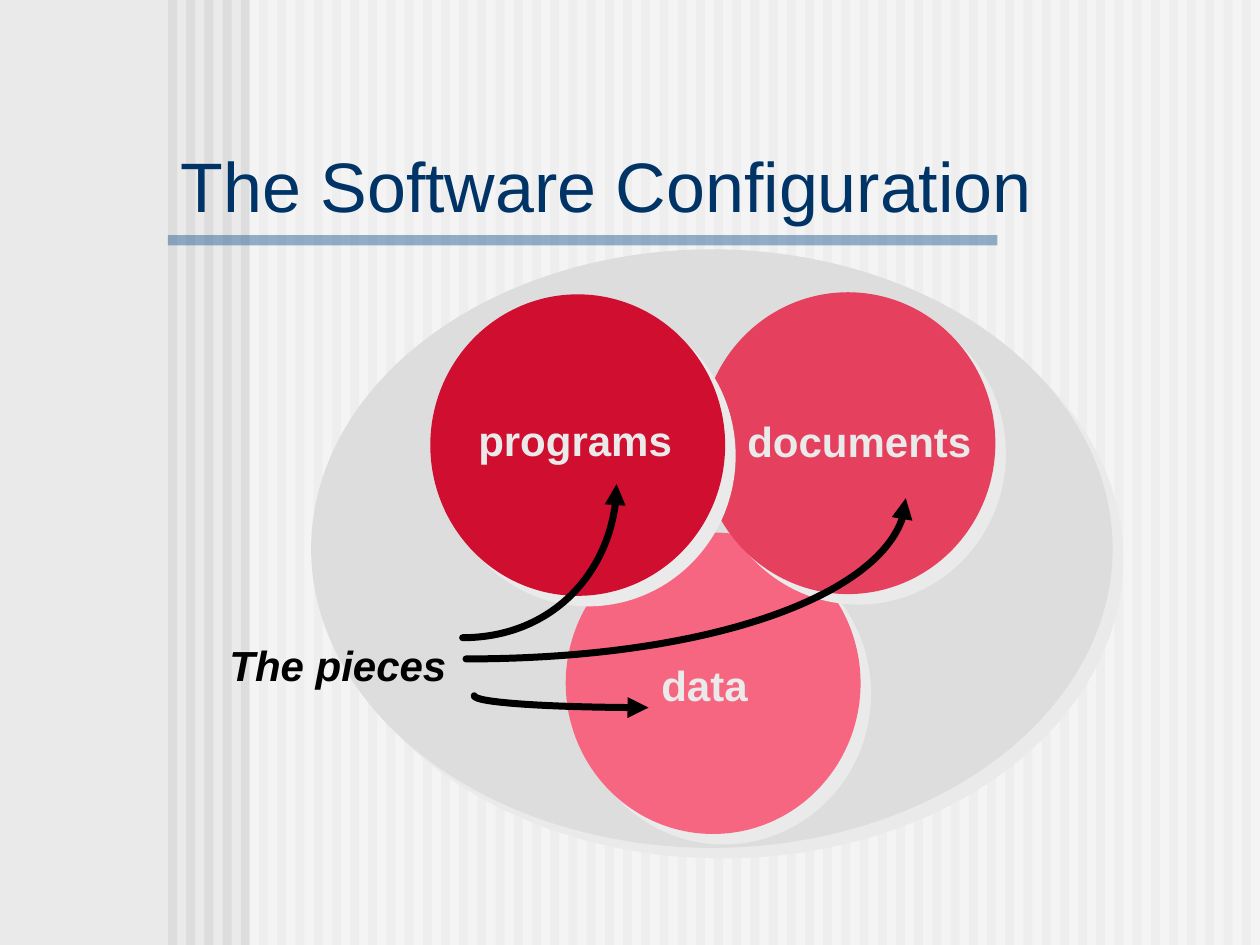
from lxml.etree import SubElement
from pptx import Presentation
from pptx.dml.color import RGBColor
from pptx.enum.shapes import MSO_SHAPE
from pptx.enum.text import MSO_ANCHOR, MSO_AUTO_SIZE, PP_ALIGN
from pptx.oxml.ns import qn
from pptx.util import Pt

COLORS = {
    "back": "EAEAEA", "grey": "DDDDDD", "white": "FFFFFF", "rule": "336699",
    "title": "003366", "pink": "F76681", "rose": "E5405D", "red": "CF0E30",
    "black": "000000",
}
TITLE = "The Software Configuration"
ELLIPSES = [
    ("grey", 177.8, 142.5, 458, 342),
    ("pink", 323.3, 304.3, 168.5, 172.3),
    ("rose", 400.3, 167, 168.5, 172.5),
    ("red", 245.9, 168.2, 168.5, 172.3),
]
LABELS = [
    ("programs", 266.2, 233.6, 126, "back", False),
    ("documents", 420, 234, 143.5, "back", False),
    ("data", 370.8, 373.2, 65, "back", False),
    ("The pieces", 124, 362, 140, "black", True),
]
LABEL_HEIGHT = 36
ARROWS = [
    ((370.6, 404.4), (271, 404.4), (271, 397.6)),
    ((517.6, 284.7), (517.6, 376.5), (266.3, 376.5)),
    ((352.4, 276.6), (352.4, 364.4), (264.4, 364.4)),
]
STRIPES, FIRST, PITCH, STRIPE_WIDTH = 60, 96, 10.4, 5.2
ARC_RATIO = 0.55


def rgb(name):
    return RGBColor.from_string(COLORS[name])


def add_filled(kind, color, x, y, w, h, alpha=None):
    sp = s.shapes.add_shape(kind, Pt(x), Pt(y), Pt(w), Pt(h))
    sp.shadow.inherit = False
    sp.fill.solid()
    sp.fill.fore_color.rgb = rgb(color)
    sp.line.fill.background()
    if alpha:
        clr = sp.element.spPr.find(qn("a:solidFill"))[0]
        SubElement(clr, qn("a:alpha"), val=str(alpha * 1000))
    return sp


def add_shadow(sp):
    effects = sp.element.spPr.find(qn("a:effectLst"))
    shadow = SubElement(effects, qn("a:outerShdw"), dist=str(Pt(8.5)),
                        dir="2700000", algn="ctr", rotWithShape="0")
    SubElement(shadow, qn("a:srgbClr"), val=COLORS["back"])


def write(tf, text, align, color, **fmt):
    p = tf.paragraphs[0]
    p.alignment = align
    r = p.add_run()
    r.text = text
    r.font.color.rgb = rgb(color)
    for key, value in fmt.items():
        setattr(r.font, key, value)


def toward(point, corner):
    return tuple(a + ARC_RATIO * (b - a) for a, b in zip(point, corner))


def add_arrow(tip, corner, tail):
    points = [tip, toward(tip, corner), toward(tail, corner), tail]
    start, *rest = [(Pt(x), Pt(y)) for x, y in points]
    builder = s.shapes.build_freeform(*start)
    builder.add_line_segments(rest, close=False)
    sp = builder.convert_to_shape()
    segments = list(sp.element.iter(qn("a:lnTo")))
    curve = SubElement(segments[0].getparent(), qn("a:cubicBezTo"))
    for segment in segments:
        curve.append(segment[0])
        segment.getparent().remove(segment)
    sp.shadow.inherit = False
    sp.fill.background()
    sp.line.color.rgb = rgb("black")
    sp.line.width = Pt(4)
    ln = sp.element.spPr.find(qn("a:ln"))
    ln.set("cap", "rnd")
    SubElement(ln, qn("a:round"))
    SubElement(ln, qn("a:headEnd"), type="triangle")


prs = Presentation()
prs.slide_width, prs.slide_height = Pt(720), Pt(540)
s = prs.slides.add_slide(prs.slide_layouts[5])
s.background.fill.solid()
s.background.fill.fore_color.rgb = rgb("back")

for i in range(STRIPES):
    add_filled(MSO_SHAPE.RECTANGLE, "grey", FIRST + i * PITCH, 0, STRIPE_WIDTH, 540)
add_filled(MSO_SHAPE.RECTANGLE, "white", 142.5, 0, 577.5, 540, alpha=50)
add_filled(MSO_SHAPE.RECTANGLE, "rule", FIRST, 134.4, 474, 5.8, alpha=50)

title = s.shapes.title
title.element.getparent().append(title.element)
title.left, title.top, title.width, title.height = Pt(96), Pt(84), Pt(542), Pt(42.5)
title.text_frame.vertical_anchor = MSO_ANCHOR.MIDDLE
title.text_frame.auto_size = MSO_AUTO_SIZE.NONE
write(title.text_frame, TITLE, PP_ALIGN.LEFT, "title", size=Pt(40), name="Arial")

for ellipse in ELLIPSES:
    add_shadow(add_filled(MSO_SHAPE.OVAL, *ellipse))

for text, x, y, w, color, italic in LABELS:
    tf = s.shapes.add_textbox(Pt(x), Pt(y), Pt(w), Pt(LABEL_HEIGHT)).text_frame
    tf.word_wrap = False
    tf.auto_size = MSO_AUTO_SIZE.SHAPE_TO_FIT_TEXT
    write(tf, text, PP_ALIGN.LEFT, color, size=Pt(24), name="Arial", bold=True, italic=italic)

for arrow in ARROWS:
    add_arrow(*arrow)

prs.save("out.pptx")
